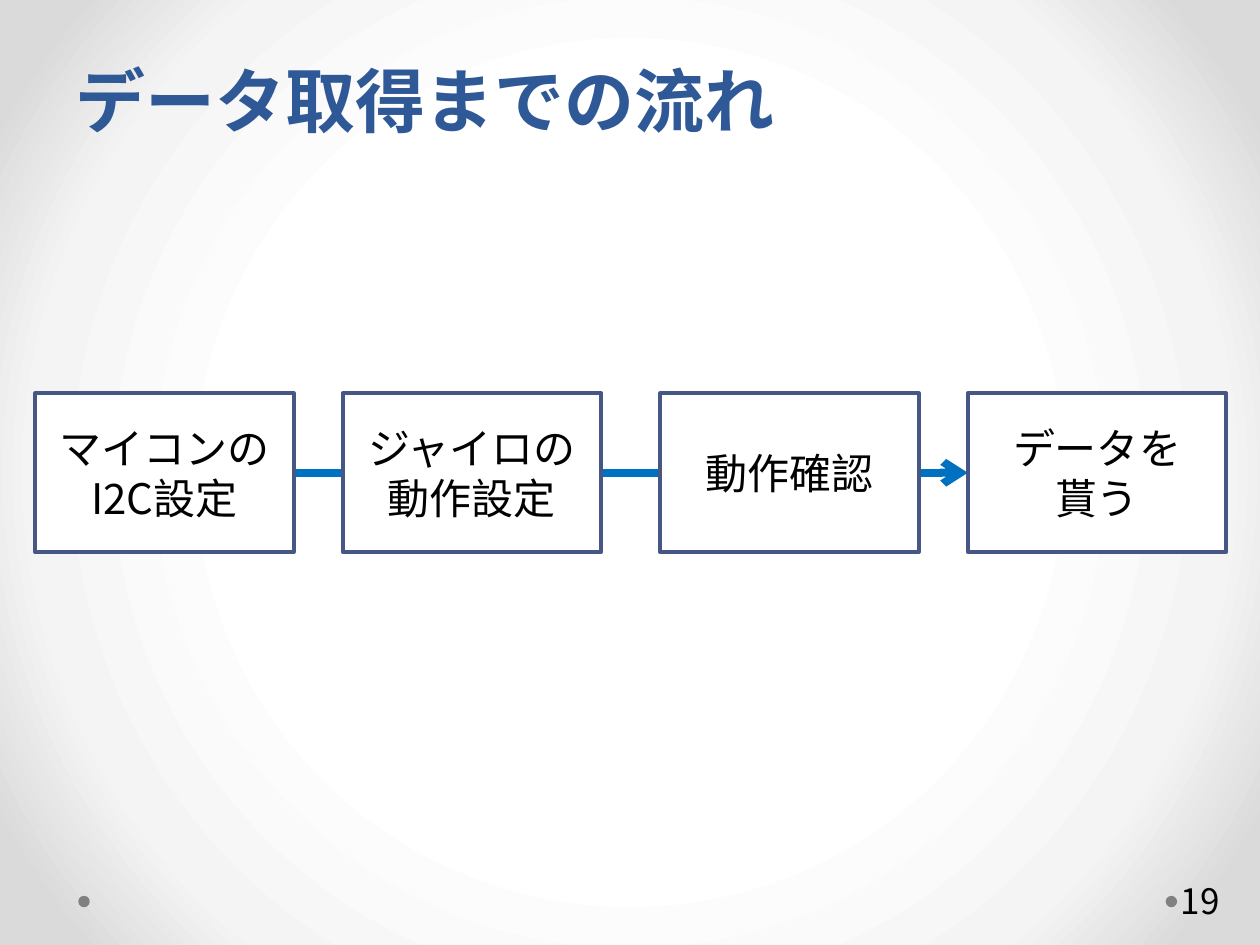
import pptx
import pptx.dml.color
import pptx.enum.shapes
import pptx.enum.text
import pptx.oxml
import pptx.oxml.ns
import pptx.util

Cm = pptx.util.Cm
FONT = "Noto Sans CJK JP"
TITLE_BLUE = pptx.dml.color.RGBColor(0x2F, 0x58, 0x97)
BORDER_BLUE = pptx.dml.color.RGBColor(0x47, 0x57, 0x85)
ARROW_BLUE = pptx.dml.color.RGBColor(0x00, 0x70, 0xC0)
DOT_GRAY = pptx.dml.color.RGBColor(0x80, 0x80, 0x80)
BLACK = pptx.dml.color.RGBColor(0x00, 0x00, 0x00)
WHITE = pptx.dml.color.RGBColor(0xFF, 0xFF, 0xFF)
BACKGROUND_STOPS = [(50, "FFFFFF"), (76, "F4F4F4"), (92, "DADADA")]

BOX_WIDTH, BOX_HEIGHT, BOX_TOP = 5.21, 3.2, 7.93
STEPS = [
    (0.71, "マイコンの\nI2C設定"),
    (6.91, "ジャイロの\n動作設定"),
    (13.31, "動作確認"),
    (19.51, "データを\n貰う"),
]


def make_element(tag, content="", attributes=""):
    """Return a drawing element with the given attributes and content."""
    namespace = pptx.oxml.ns.nsdecls("a")
    return pptx.oxml.parse_xml(f"<a:{tag} {namespace} {attributes}>{content}</a:{tag}>")


def set_background(page):
    """Fill the page with a circular gradient that darkens outwards."""
    page.background.fill.gradient()
    gradient = page.element.find(".//" + pptx.oxml.ns.qn("a:gradFill"))
    stops = "".join(
        f'<a:gs pos="{position * 1000}"><a:srgbClr val="{color}"/></a:gs>'
        for position, color in BACKGROUND_STOPS
    )
    center = '<a:fillToRect l="50000" t="50000" r="50000" b="50000"/>'
    gradient[:] = [
        make_element("gsLst", stops),
        make_element("path", center, 'path="circle"'),
    ]


def write_text(frame, text, size=24, color=BLACK, bold=False, align=None,
               anchor=pptx.enum.text.MSO_ANCHOR.MIDDLE, line_spacing=None):
    """Write one paragraph per line of text in the given format."""
    frame.word_wrap = True
    frame.vertical_anchor = anchor
    for index, line in enumerate(text.split("\n")):
        para = frame.add_paragraph() if index else frame.paragraphs[0]
        para.alignment = align
        para.line_spacing = line_spacing
        span = para.add_run()
        span.text = line
        span.font.size = pptx.util.Pt(size)
        span.font.bold = bold
        span.font.color.rgb = color
        span.font.name = FONT
        latin = span.font.color and para.runs[0]._r.rPr.find(pptx.oxml.ns.qn("a:latin"))
        latin.addnext(make_element("ea", attributes=f'typeface="{FONT}"'))


def add_text(page, left, top, width, height, text, left_inset=0.25, **text_format):
    """Add a text box."""
    box = page.shapes.add_textbox(Cm(left), Cm(top), Cm(width), Cm(height))
    box.text_frame.margin_left = Cm(left_inset)
    write_text(box.text_frame, text, **text_format)


def add_shape(page, kind, left, top, width, height, fill, border=None):
    """Add a flat preset shape and return it."""
    shape = page.shapes.add_shape(kind, Cm(left), Cm(top), Cm(width), Cm(height))
    shape.shadow.inherit = False
    shape.fill.solid()
    shape.fill.fore_color.rgb = fill
    if border is None:
        shape.line.fill.background()
    else:
        shape.line.color.rgb = border
        shape.line.width = pptx.util.Pt(2.25)
    return shape


def add_arrow(page, start, end, height):
    """Add a horizontal arrow."""
    arrow = page.shapes.add_connector(
        pptx.enum.shapes.MSO_CONNECTOR.STRAIGHT, Cm(start), Cm(height), Cm(end), Cm(height)
    )
    arrow.line.color.rgb = ARROW_BLUE
    arrow.line.width = pptx.util.Pt(4.5)
    properties = arrow.element.spPr
    properties.find(pptx.oxml.ns.qn("a:ln")).append(
        make_element("tailEnd", attributes='type="arrow"')
    )
    properties.append(make_element("effectLst"))


def add_step(page, left, text):
    """Add one step of the flow."""
    box = add_shape(page, pptx.enum.shapes.MSO_SHAPE.RECTANGLE, left, BOX_TOP,
                    BOX_WIDTH, BOX_HEIGHT, WHITE, border=BORDER_BLUE)
    write_text(box.text_frame, text, align=pptx.enum.text.PP_ALIGN.CENTER)


def main():
    """Build and save the deck."""
    deck = pptx.Presentation()
    deck.slide_width, deck.slide_height = Cm(25.4), Cm(19.05)
    page = deck.slides.add_slide(deck.slide_layouts[6])
    set_background(page)
    for left in (23.5, 1.58):
        add_shape(page, pptx.enum.shapes.MSO_SHAPE.OVAL, left, 18.06, 0.23, 0.23, DOT_GRAY)
    add_arrow(page, STEPS[0][0] + BOX_WIDTH, STEPS[-1][0], BOX_TOP + BOX_HEIGHT / 2)
    add_text(page, 1.27, -1.47, 22.86, 4.45, "データ取得までの流れ", size=40,
             color=TITLE_BLUE, bold=True, anchor=pptx.enum.text.MSO_ANCHOR.BOTTOM,
             line_spacing=pptx.util.Pt(58))
    add_text(page, 23.72, 17.65, 1.55, 1.02, "19", left_inset=0.08, size=20)
    for left, text in STEPS:
        add_step(page, left, text)
    deck.save("out.pptx")


if __name__ == "__main__":
    main()
